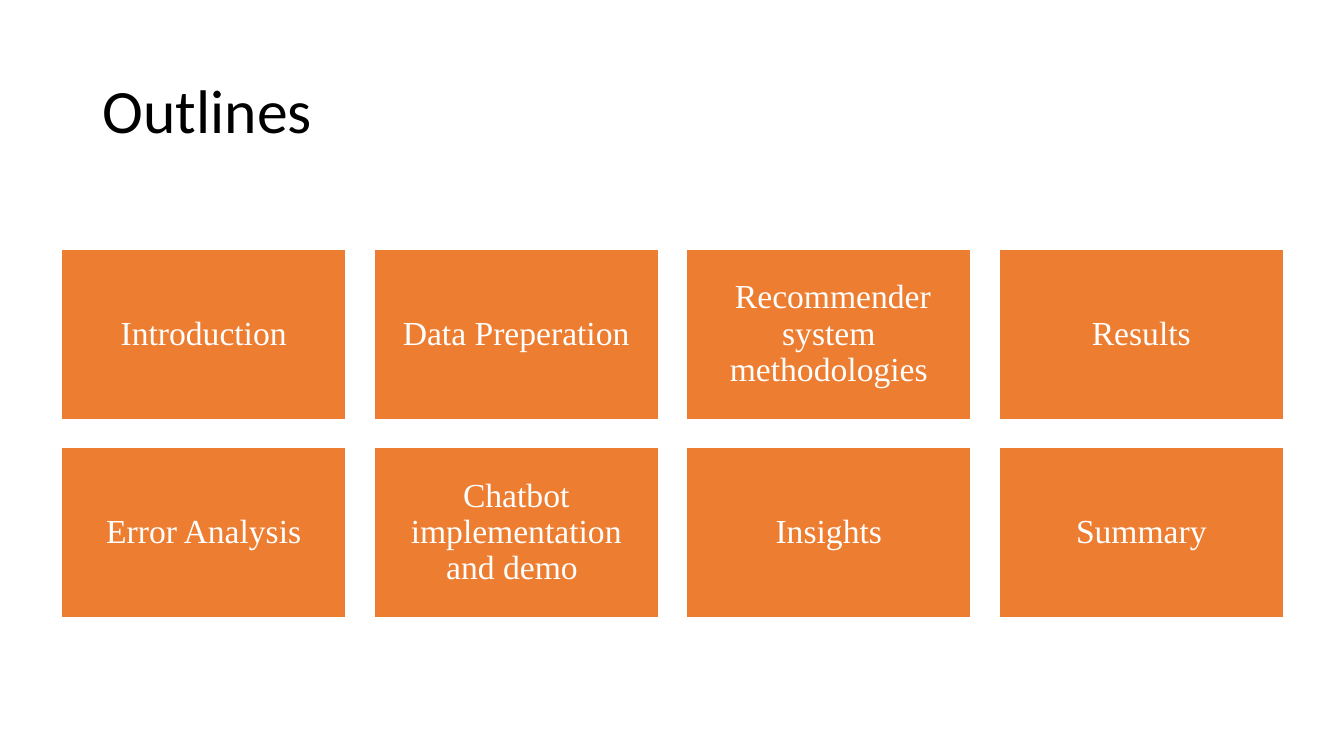
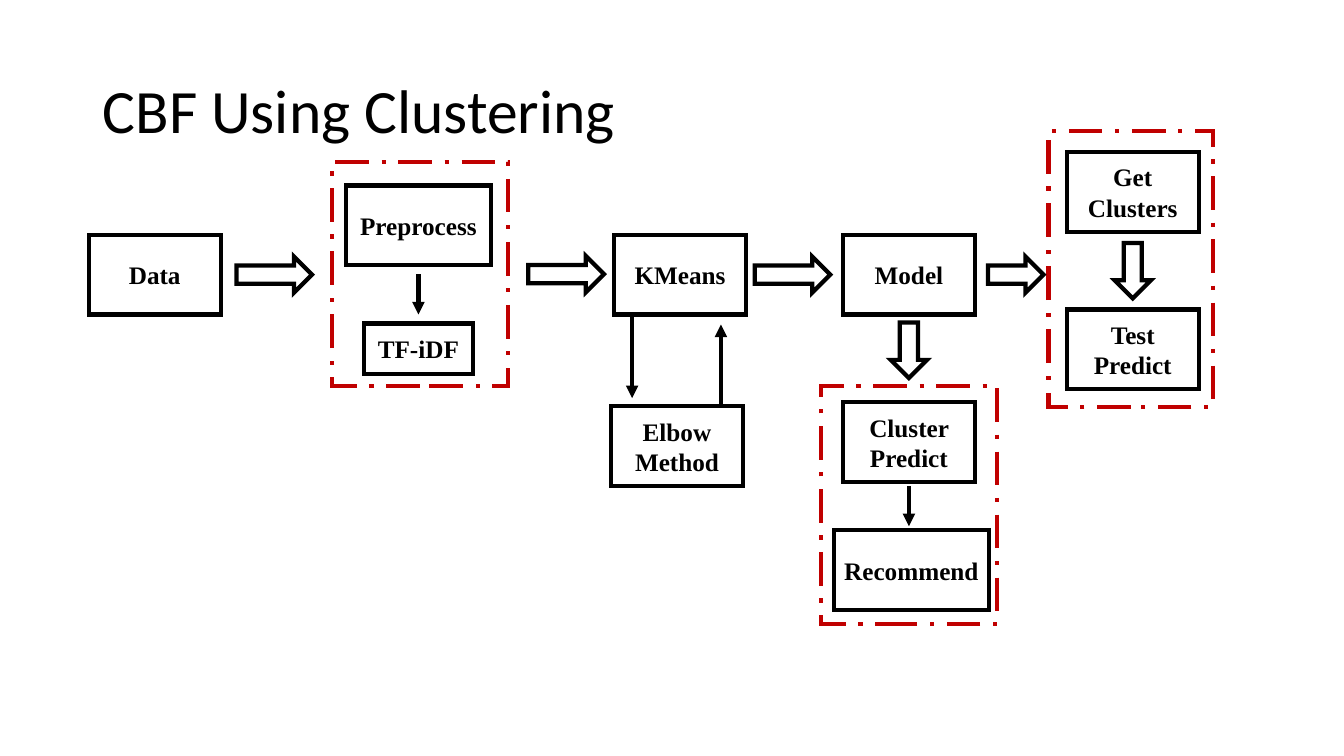
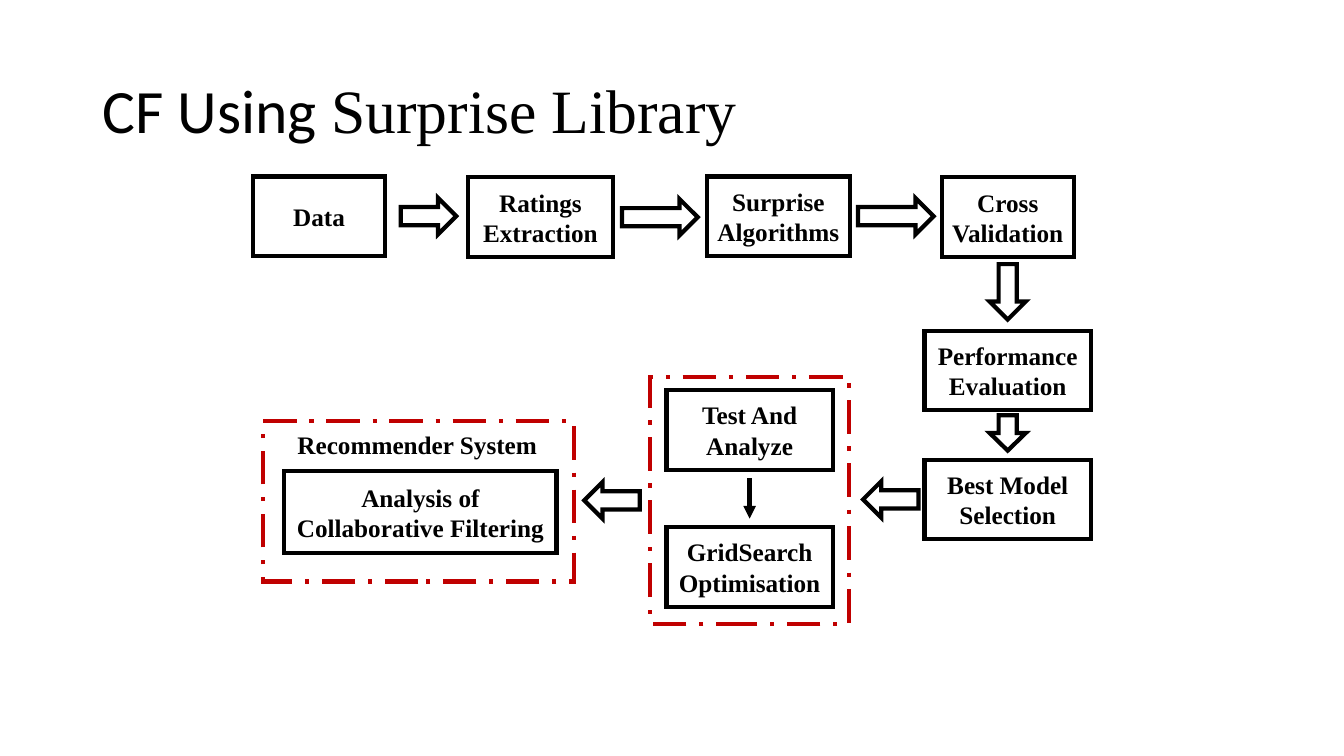
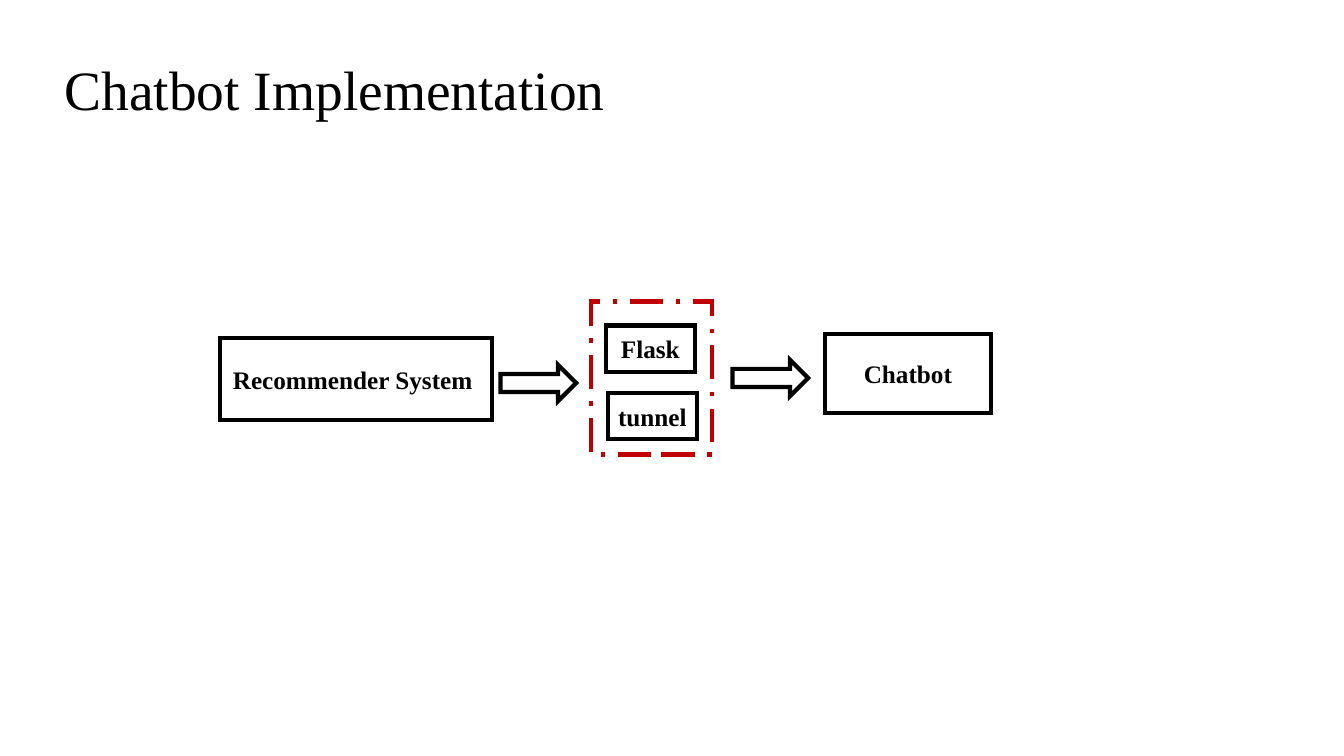
"""Build four slides on a recommender system: outline, two method flows and the chatbot flow."""
from dataclasses import dataclass

from lxml import etree
from pptx import Presentation
from pptx.dml.color import RGBColor
from pptx.enum.dml import MSO_LINE
from pptx.enum.shapes import MSO_CONNECTOR, MSO_SHAPE
from pptx.enum.text import MSO_ANCHOR, MSO_AUTO_SIZE, PP_ALIGN
from pptx.oxml.ns import qn
from pptx.util import Inches, Pt

RECTANGLE = MSO_SHAPE.RECTANGLE
RIGHT, LEFT, DOWN = MSO_SHAPE.RIGHT_ARROW, MSO_SHAPE.LEFT_ARROW, MSO_SHAPE.DOWN_ARROW
STRAIGHT = MSO_CONNECTOR.STRAIGHT
LONG_DASH_DOT = MSO_LINE.LONG_DASH_DOT
MIDDLE = MSO_ANCHOR.MIDDLE
NO_AUTOFIT = MSO_AUTO_SIZE.NONE
ALIGN_LEFT, ALIGN_CENTER = PP_ALIGN.LEFT, PP_ALIGN.CENTER

COLORS = {"ink": "000000", "paper": "FFFFFF", "tile": "ED7D31", "frame": "C00000"}
SANS, SERIF = "Calibri", "Times New Roman"
STEP_WIDTH, STEP_HEIGHT = 1.31, 0.79
ARROW_THICKNESS = 0.36
LINE_WIDTH = 3


@dataclass(frozen=True)
class Box:
    """A rectangle in inches."""
    left: float
    top: float
    width: float = STEP_WIDTH
    height: float = STEP_HEIGHT

    @property
    def right(self):
        """Return the right edge."""
        return self.left + self.width

    @property
    def bottom(self):
        """Return the bottom edge."""
        return self.top + self.height

    @property
    def center(self):
        """Return the centre point."""
        return self.left + self.width / 2, self.top + self.height / 2

    def inner(self, dx, dy, width=STEP_WIDTH, height=STEP_HEIGHT):
        """Return a box offset from this box's corner."""
        return Box(self.left + dx, self.top + dy, width, height)

    def lengths(self):
        """Return position and size as slide lengths."""
        return [Inches(v) for v in (self.left, self.top, self.width, self.height)]


TITLE_BOX = Box(0.92, 0.4, 11.5, 1.45)


def color(key):
    """Return a palette colour."""
    return RGBColor.from_string(COLORS[key])


def add_block(slide, box, kind=RECTANGLE, fill=None, line="ink", width=LINE_WIDTH):
    """Draw a preset shape outlined with sharp corners."""
    block = slide.shapes.add_shape(kind, *box.lengths())
    block.shadow.inherit = False
    if fill:
        block.fill.solid()
        block.fill.fore_color.rgb = color(fill)
    else:
        block.fill.background()
    block.line.color.rgb = color(line)
    block.line.width = Pt(width)
    outline = block._element.spPr.find(qn("a:ln"))
    etree.SubElement(outline, qn("a:miter"), lim="800000")
    return block


def write_label(block, text, size=18, ink="ink", bold=True, spacing=None):
    """Write centred serif text into a shape or text box."""
    frame = block.text_frame
    frame.word_wrap = True
    frame.vertical_anchor = MIDDLE
    paragraph = frame.paragraphs[0]
    paragraph.text = text
    paragraph.alignment = ALIGN_CENTER
    if spacing:
        paragraph.line_spacing = spacing
    font = paragraph.font
    font.name, font.size, font.bold = SERIF, Pt(size), bold
    font.color.rgb = color(ink)
    return frame


def add_step(slide, text, box):
    """Draw one process step and return its box."""
    write_label(add_block(slide, box), text)
    return box


def add_pointer(slide, start, end):
    """Draw a thin line with a triangle head at its end."""
    points = [Inches(v) for v in (*start, *end)]
    pointer = slide.shapes.add_connector(STRAIGHT, *points)
    pointer.line.color.rgb = color("ink")
    pointer.line.width = Pt(LINE_WIDTH)
    properties = pointer._element.spPr
    etree.SubElement(properties.find(qn("a:ln")), qn("a:tailEnd"), type="triangle")
    etree.SubElement(properties, qn("a:effectLst"))


def add_arrow(slide, source, target, length=0.75, dx=0, dy=0):
    """Draw a block arrow in the gap between two boxes, on the source's axis."""
    x, y = source.center
    width, height = length, ARROW_THICKNESS
    if target.left >= source.right:
        kind, x = RIGHT, (source.right + target.left) / 2
    elif target.right <= source.left:
        kind, x = LEFT, (target.right + source.left) / 2
    else:
        kind, y = DOWN, (source.bottom + target.top) / 2
        width, height = height, width
    box = Box(x + dx - width / 2, y + dy - height / 2, width, height)
    add_block(slide, box, kind, fill="paper")


def add_drop(slide, source, target, length=0.4):
    """Draw a thin downward pointer centred in the gap between two boxes."""
    x = source.center[0]
    y = (source.bottom + target.top) / 2
    add_pointer(slide, (x, y - length / 2), (x, y + length / 2))


def add_frame(slide, box, steps=()):
    """Draw a dashed frame with steps offset from its corner and return the step boxes."""
    add_block(slide, box, line="frame").line.dash_style = LONG_DASH_DOT
    return [add_step(slide, text, box.inner(*offset)) for text, offset in steps]


def add_titled_slide(prs, runs, box=TITLE_BOX, size=44):
    """Add a title-only slide whose title is made of (text, font) runs."""
    slide = prs.slides.add_slide(prs.slide_layouts[5])
    title = slide.shapes.title
    title.left, title.top, title.width, title.height = box.lengths()
    frame = title.text_frame
    frame.word_wrap = True
    frame.auto_size = NO_AUTOFIT
    frame.vertical_anchor = MIDDLE
    paragraph = frame.paragraphs[0]
    paragraph.alignment = ALIGN_LEFT
    paragraph.line_spacing = 0.9
    paragraph.font.size = Pt(size)
    paragraph.font.color.rgb = color("ink")
    paragraph.font.name = runs[0][1]
    for text, font_name in runs:
        run = paragraph.add_run()
        run.text = text
        if font_name != runs[0][1]:
            run.font.name = font_name
    return slide


def draw_outline(slide, area, topics, columns=4, gap=0.28):
    """Fill the area with a grid of topic tiles."""
    rows = len(topics) // columns
    width = (area.width - gap * (columns - 1)) / columns
    height = (area.height - gap * (rows - 1)) / rows
    for index, topic in enumerate(topics):
        row, column = divmod(index, columns)
        box = area.inner(column * (width + gap), row * (height + gap), width, height)
        tile = add_block(slide, box, fill="tile", line="paper", width=1)
        frame = write_label(tile, topic, 24, "paper", False, 0.9)
        frame.margin_top = frame.margin_bottom = Inches(0.1)


def draw_clustering(slide, area):
    """Draw the clustering flow with its elbow loop and two outcomes."""
    data = add_step(slide, "Data", area.inner(0, 1.03))
    kmeans = add_step(slide, "KMeans", area.inner(5.21, 1.03))
    elbow = add_step(slide, "Elbow Method", area.inner(5.18, 2.73))
    model = add_step(slide, "Model", area.inner(7.48, 1.03))

    features = area.inner(2.41, 0.31, 1.75, 2.22)
    add_drop(slide, *add_frame(slide, features, [
        ("Preprocess", (0.14, 0.23, 1.44)), ("TF-iDF", (0.32, 1.6, 1.08, 0.5))]))
    recommendation = area.inner(7.26, 2.53, 1.75, 2.36)
    add_drop(slide, *add_frame(slide, recommendation, [
        ("Cluster Predict", (0.22, 0.16)), ("Recommend", (0.13, 1.43, 1.54))]))
    testing = area.inner(9.52, 0, 1.63, 2.74)
    add_arrow(slide, *add_frame(slide, testing, [
        ("Get Clusters", (0.18, 0.21)), ("Test Predict", (0.18, 1.77))]), length=0.55)

    add_arrow(slide, data, features, dx=-0.02)
    add_arrow(slide, features, kmeans, dx=0.05)
    add_arrow(slide, kmeans, model, dx=-0.02)
    add_arrow(slide, model, testing, length=0.55, dx=0.04)
    add_arrow(slide, model, recommendation, length=0.55)
    down_x, up_x = kmeans.left + 0.18, kmeans.left + 1.06
    add_pointer(slide, (down_x, kmeans.bottom), (down_x, elbow.top - 0.08))
    add_pointer(slide, (up_x, elbow.top), (up_x, kmeans.bottom + 0.1))


def draw_collaborative(slide, area):
    """Draw the collaborative filtering flow, across, down and back."""
    data = add_step(slide, "Data", area.inner(0, 0))
    ratings = add_step(slide, "Ratings Extraction", area.inner(2.13, 0.01, 1.44))
    algorithms = add_step(slide, "Surprise Algorithms", area.inner(4.5, 0, 1.42))
    validation = add_step(slide, "Cross Validation", area.inner(6.83, 0.01))
    evaluation = add_step(slide, "Performance Evaluation", area.inner(6.66, 1.53, 1.65))
    selection = add_step(slide, "Best Model Selection", area.inner(6.66, 2.81, 1.65))

    tuning = area.inner(3.94, 1.99, 1.97, 2.45)
    add_drop(slide, *add_frame(slide, tuning, [
        ("Test And Analyze", (0.16, 0.13, 1.65)),
        ("GridSearch Optimisation", (0.16, 1.49, 1.65))]))
    system = area.inner(0.1, 2.43, 3.08, 1.59)
    add_frame(slide, system, [
        ("Analysis of Collaborative Filtering", (0.21, 0.49, 2.7, 0.82))])
    caption = slide.shapes.add_textbox(*system.inner(0.21, 0.04, 2.7, 0.38).lengths())
    write_label(caption, "Recommender System ")

    add_arrow(slide, data, ratings, length=0.55, dx=0.02)
    add_arrow(slide, ratings, algorithms)
    add_arrow(slide, algorithms, validation)
    add_arrow(slide, validation, evaluation, length=0.55, dy=-0.02)
    add_arrow(slide, evaluation, selection, length=0.35, dy=-0.02)
    add_arrow(slide, selection, tuning, length=0.55, dx=0.04)
    add_arrow(slide, tuning, system, length=0.55)


def draw_chatbot(slide, area):
    """Draw the path from recommender through the web layer to the chatbot."""
    recommender = add_step(slide, "Recommender System ", area.inner(0, 0.36, 2.7, 0.82))
    web_layer = area.inner(3.68, 0, 1.2, 1.52)
    add_frame(slide, web_layer, [
        ("Flask", (0.15, 0.24, 0.88, 0.46)), ("tunnel", (0.17, 0.91, 0.88, 0.46))])
    chatbot = add_step(slide, "Chatbot", area.inner(6, 0.32, 1.65))
    add_arrow(slide, recommender, web_layer, dx=-0.03, dy=0.04)
    add_arrow(slide, web_layer, chatbot, dx=0.02)


def main():
    """Build and save the presentation."""
    prs = Presentation()
    prs.slide_width, prs.slide_height = Inches(13.33), Inches(7.5)

    outline = add_titled_slide(prs, [("Outlines", SANS)])
    draw_outline(outline, Box(0.61, 2.47, 12.12, 3.66), [
        "Introduction", "Data Preperation", " Recommender system methodologies", "Results",
        "Error Analysis", "Chatbot implementation and demo ", "Insights", "Summary"])

    clustering = add_titled_slide(prs, [("CBF Using Clustering", SANS)])
    draw_clustering(clustering, Box(0.88, 1.3, 11.15, 4.89))

    collaborative = add_titled_slide(
        prs, [("CF Using ", SANS), ("Surprise Library", SERIF)])
    draw_collaborative(collaborative, Box(2.51, 1.75, 8.31, 4.44))

    implementation = add_titled_slide(
        prs, [("Chatbot Implementation", SERIF)], Box(0.54, 0.62, 12.26, 0.59), 39.6)
    draw_chatbot(implementation, Box(2.18, 2.99, 7.65, 1.52))

    prs.save("out.pptx")


if __name__ == "__main__":
    main()
